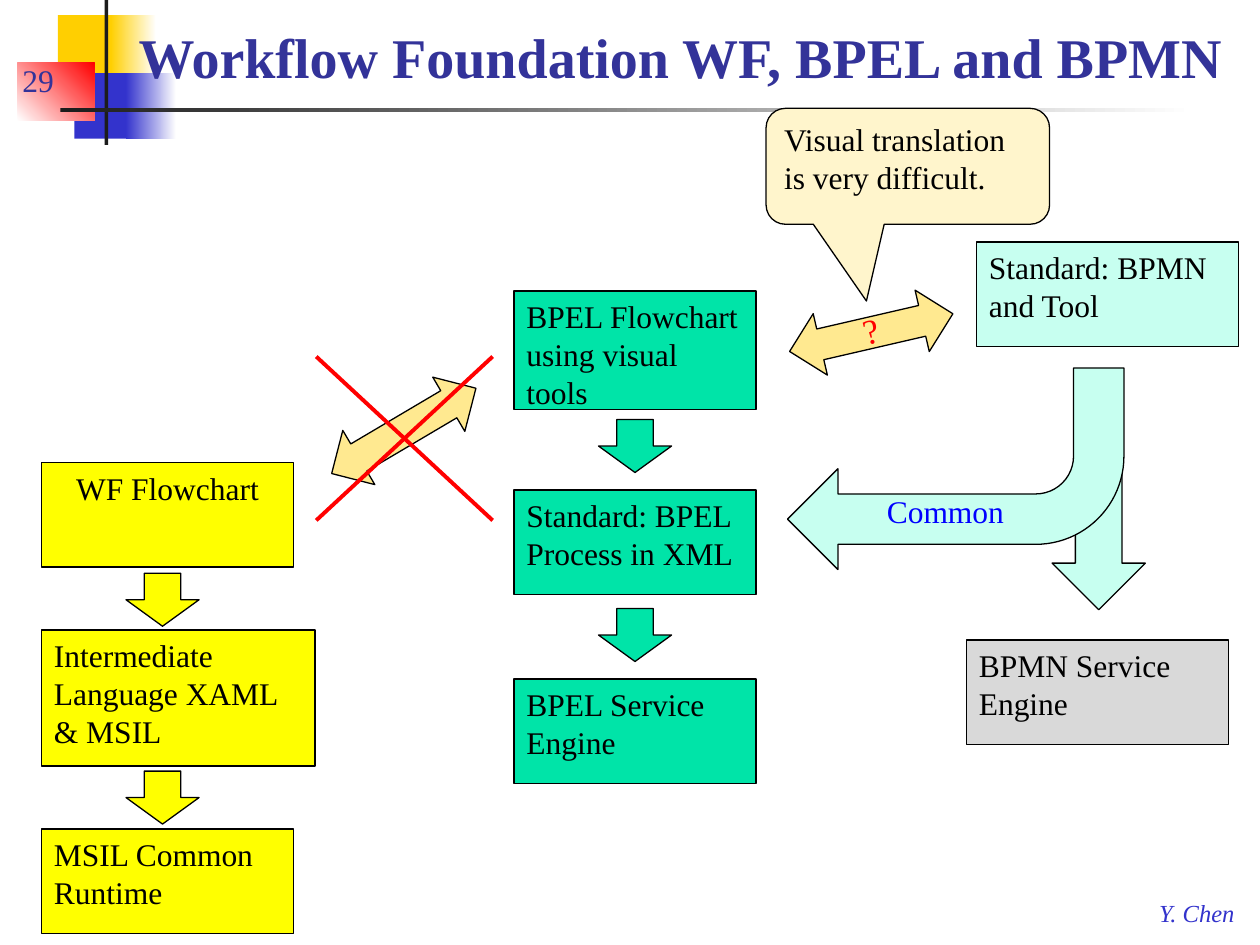
"""Build the slide comparing WF, BPEL and BPMN workflows."""
from lxml.etree import SubElement
from pptx import Presentation
from pptx.dml.color import RGBColor
from pptx.enum.shapes import MSO_CONNECTOR, MSO_SHAPE
from pptx.enum.text import MSO_ANCHOR, PP_ALIGN
from pptx.oxml.ns import qn
from pptx.util import Inches, Pt

FONT = "Times New Roman"
BLACK = RGBColor(0x00, 0x00, 0x00)
WHITE = RGBColor(0xFF, 0xFF, 0xFF)
CHARCOAL = RGBColor(0x1C, 0x1C, 0x1C)
GOLD = RGBColor(0xFF, 0xCF, 0x01)
BLUE = RGBColor(0x33, 0x33, 0xCC)
NAVY = RGBColor(0x33, 0x33, 0x99)
LINK_BLUE = RGBColor(0x00, 0x00, 0xFF)
RED = RGBColor(0xFF, 0x00, 0x00)
GREEN = RGBColor(0x00, 0xE4, 0xA8)
YELLOW = RGBColor(0xFF, 0xFF, 0x00)
MINT = RGBColor(0xC7, 0xFF, 0xF0)
SAND = RGBColor(0xFF, 0xE9, 0x90)
CREAM = RGBColor(0xFF, 0xF5, 0xCC)
GRAY = RGBColor(0xD9, 0xD9, 0xD9)


class Diagram:
    def __init__(self, slide):
        self.s = slide

    def add_text(self, sp, text, color=BLACK, size=18, bold=False, italic=False,
                 align=PP_ALIGN.LEFT, anchor=MSO_ANCHOR.TOP, wrap=True):
        tf = sp.text_frame
        tf.word_wrap = wrap
        tf.vertical_anchor = anchor
        p = tf.paragraphs[0]
        p.alignment = align
        r = p.add_run()
        r.text = text
        r.font.name = FONT
        r.font.size = Pt(size)
        r.font.bold = bold
        r.font.italic = italic
        r.font.color.rgb = color
        return p

    def title(self, text, x, y, w, h):
        sp = self.s.shapes.title
        sp.left, sp.top, sp.width, sp.height = map(Inches, (x, y, w, h))
        self.add_text(sp, text, NAVY, 32, bold=True, anchor=MSO_ANCHOR.BOTTOM)
        sp.element.getparent().append(sp.element)

    def label(self, text, x, y, w, h, **style):
        sp = self.s.shapes.add_textbox(*map(Inches, (x, y, w, h)))
        self.add_text(sp, text, **style)

    def shape(self, kind, fill, x, y, w, h, rotation=0):
        sp = self.s.shapes.add_shape(kind, *map(Inches, (x, y, w, h)))
        sp.shadow.inherit = False
        sp.fill.solid()
        sp.fill.fore_color.rgb = fill
        sp.line.color.rgb = BLACK
        sp.line.width = Pt(0.75)
        sp.rotation = rotation
        return sp

    def bar(self, x, y, w, h, start, end=None, angle=0):
        sp = self.shape(MSO_SHAPE.RECTANGLE, start, x, y, w, h)
        sp.line.fill.background()
        if end is not None:
            sp.fill.gradient()
            sp.fill.gradient_angle = angle
            for stop, color in zip(sp.fill.gradient_stops, (start, end)):
                stop.color.rgb = color

    def box(self, text, fill, x, y, w, h=0.83, align=PP_ALIGN.LEFT):
        sp = self.shape(MSO_SHAPE.RECTANGLE, fill, x, y, w, h)
        self.add_text(sp, text, align=align)

    def down_arrow(self, fill, x, y, w=0.58, h=0.42):
        self.shape(MSO_SHAPE.DOWN_ARROW, fill, x, y, w, h)

    def double_arrow(self, x, y, rotation):
        return self.shape(MSO_SHAPE.LEFT_RIGHT_ARROW, SAND, x, y, 1.33, 0.5, rotation)

    def callout(self, text, x, y, w, h, adjustments):
        sp = self.shape(MSO_SHAPE.ROUNDED_RECTANGULAR_CALLOUT, CREAM, x, y, w, h)
        for i, value in enumerate(adjustments):
            sp.adjustments[i] = value
        self.add_text(sp, text)

    def cross(self, left, top, right, bottom):
        for y1, y2 in ((top, bottom), (bottom, top)):
            c = self.s.shapes.add_connector(
                MSO_CONNECTOR.STRAIGHT, *map(Inches, (left, y1, right, y2)))
            c.line.color.rgb = RED
            c.line.width = Pt(2.25)
            SubElement(c.element.spPr, qn("a:effectLst"))


def main():
    prs = Presentation()
    prs.slide_width, prs.slide_height = Inches(10), Inches(7.5)
    d = Diagram(prs.slides.add_slide(prs.slide_layouts[5]))

    d.bar(0.46, 0.12, 0.48, 0.52, GOLD)
    d.bar(0.88, 0.12, 0.36, 0.52, GOLD, WHITE)
    d.bar(0.59, 0.58, 0.46, 0.52, BLUE)
    d.bar(1, 0.58, 0.4, 0.52, BLUE, WHITE)
    d.bar(0.14, 0.5, 0.61, 0.46, WHITE, RED, angle=45)
    d.bar(0.83, 0, 0.03, 1.15, CHARCOAL)
    d.bar(0.48, 0.86, 9, 0.03, CHARCOAL, WHITE)
    d.label("Y. Chen", 9.1, 7.08, 0.82, 0.33, color=BLUE, size=14, italic=True, wrap=False)
    d.title("Workflow Foundation WF, BPEL and BPMN", 1, 0.08, 8.92, 0.68)
    d.label("29", 0.08, 0.33, 0.78, 0.5, color=NAVY, anchor=MSO_ANCHOR.BOTTOM)

    d.box("BPEL Flowchart using visual tools", GREEN, 4.08, 2.31, 1.92, 0.94)
    d.box("Standard: BPEL Process in XML", GREEN, 4.08, 3.89, 1.92)
    d.box("BPEL Service Engine", GREEN, 4.08, 5.39, 1.92)
    for y in (3.33, 4.83):
        d.down_arrow(GREEN, 4.75, y)

    d.box("WF Flowchart", YELLOW, 0.33, 3.67, 2, align=PP_ALIGN.CENTER)
    d.box("Intermediate Language XAML & MSIL", YELLOW, 0.33, 5, 2.17, 1.08)
    d.box("MSIL Common Runtime", YELLOW, 0.33, 6.58, 2)
    for y in (4.55, 6.12):
        d.down_arrow(YELLOW, 1, y)

    d.box("Standard: BPMN and Tool", MINT, 7.75, 1.92, 2.08)
    d.box("BPMN Service Engine", GRAY, 7.67, 5.08, 2.08)
    d.down_arrow(MINT, 8.35, 2.98, 0.74, 1.86)

    question = d.double_arrow(6.25, 2.39, 347)
    p = d.add_text(question, "?", RED, 20, align=PP_ALIGN.CENTER)
    p.line_spacing = Pt(16)
    d.callout("Visual translation is very difficult.",
              6.08, 0.86, 2.25, 0.92, (-0.146, 1.162, 0.167))

    d.double_arrow(2.54, 3.17, 329.4)
    d.cross(2.51, 2.83, 3.91, 4.13)

    d.shape(MSO_SHAPE.BENT_ARROW, MINT, 6.25, 2.92, 2.67, 1.6, rotation=180)
    d.label("Common", 6.94, 3.86, 1.14, 0.5, color=LINK_BLUE, wrap=False)

    prs.save("out.pptx")


if __name__ == "__main__":
    main()
